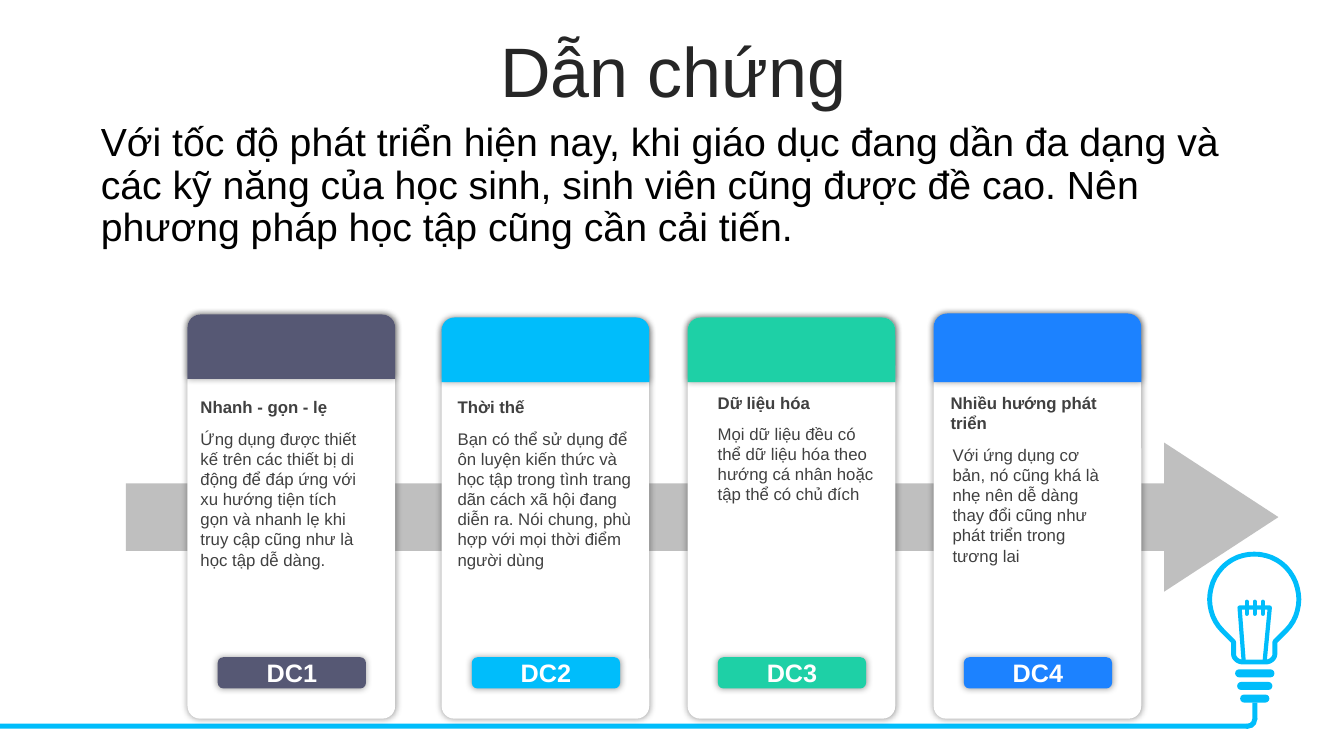
from lxml.etree import SubElement
from pptx import Presentation
from pptx.dml.color import RGBColor
from pptx.enum.shapes import MSO_CONNECTOR, MSO_SHAPE
from pptx.enum.text import MSO_ANCHOR, MSO_AUTO_SIZE, PP_ALIGN
from pptx.oxml.ns import qn
from pptx.util import Inches, Pt

WHITE = RGBColor(0xFF, 0xFF, 0xFF)
BLACK = RGBColor(0x00, 0x00, 0x00)
TITLE_GREY = RGBColor(0x26, 0x26, 0x26)
TEXT_GREY = RGBColor(0x40, 0x40, 0x40)
ARROW_GREY = RGBColor(0xBF, 0xBF, 0xBF)
SLATE = RGBColor(0x56, 0x58, 0x74)
SKY = RGBColor(0x00, 0xBD, 0xFB)
GREEN = RGBColor(0x1E, 0xD0, 0xA6)
BLUE = RGBColor(0x1C, 0x82, 0xFF)

BULB_X = 12.445  # axis of the bulb
CARD_WIDTH = 2.06
CARD_BOTTOM = 7.13


def curve(p0, p1, p2, p3, steps=12):
    """Points along a cubic curve, without its start."""
    points = []
    for step in range(1, steps + 1):
        t = step / steps
        u = 1 - t
        points.append(tuple(u**3 * a + 3 * u * u * t * b + 3 * u * t * t * c + t**3 * d
                            for a, b, c, d in zip(p0, p1, p2, p3)))
    return points


class SlideBuilder:
    font = "Arial"

    def __init__(self, page):
        self.page = page

    def shape(self, kind, left, top, width, height, fill, adjust=(), glow=False):
        shape = self.page.shapes.add_shape(
            kind, Inches(left), Inches(top), Inches(width), Inches(height))
        for index, value in enumerate(adjust):
            shape.adjustments[index] = value
        shape.fill.solid()
        shape.fill.fore_color.rgb = fill
        shape.line.fill.background()
        shape.shadow.inherit = False
        if glow:
            effects = shape._element.spPr.find(qn("a:effectLst"))
            shadow = SubElement(effects, qn("a:outerShdw"), blurRad=str(Pt(5)),
                                dist="0", dir="0", algn="ctr", rotWithShape="0")
            color = SubElement(shadow, qn("a:srgbClr"), val=str(BLACK))
            SubElement(color, qn("a:alpha"), val="40000")
        return shape

    def outline(self, points, width, fill=None, close=False):
        grid = [(round(x * 1000), round(y * 1000)) for x, y in points]
        builder = self.page.shapes.build_freeform(*grid[0], scale=Inches(0.001))
        builder.add_line_segments(grid[1:], close=close)
        shape = builder.convert_to_shape()
        if fill is None:
            shape.fill.background()
        else:
            shape.fill.solid()
            shape.fill.fore_color.rgb = fill
        shape.line.color.rgb = SKY
        shape.line.width = Pt(width)
        shape.shadow.inherit = False

    def stroke(self, x, top, bottom, width):
        line = self.page.shapes.add_connector(
            MSO_CONNECTOR.STRAIGHT, Inches(x), Inches(top), Inches(x), Inches(bottom))
        line.line.color.rgb = SKY
        line.line.width = Pt(width)
        line._element.spPr.find(qn("a:ln")).set("cap", "rnd")
        SubElement(line._element.spPr, qn("a:effectLst"))

    def fill_text(self, frame, text, size, color, bold=False, align=PP_ALIGN.LEFT,
                  spacing=None):
        frame.word_wrap = True
        frame.text = text
        para = frame.paragraphs[0]
        para.alignment = align
        if spacing:
            para.line_spacing = spacing
        font = para.runs[0].font
        font.name, font.size, font.bold = self.font, Pt(size), bold
        font.color.rgb = color

    def text(self, left, top, width, height, text, size, color, **style):
        box = self.page.shapes.add_textbox(
            Inches(left), Inches(top), Inches(width), Inches(height))
        self.fill_text(box.text_frame, text, size, color, **style)
        return box.text_frame

    def bulb(self):
        # Glass: the right half, then its mirror image
        right = [(BULB_X, 5.5)]
        right += curve(right[-1], (12.56, 5.5), (12.67, 5.54), (12.76, 5.63))
        right += curve(right[-1], (12.93, 5.81), (12.93, 6.09), (12.76, 6.26))
        right += [(12.65, 6.37), (12.65, 6.49)]
        right += curve(right[-1], (12.65, 6.53), (12.61, 6.57), (12.56, 6.57))
        left = [(2 * BULB_X - x, y) for x, y in reversed(right[1:])]
        self.outline(right + left, 3.5, WHITE, close=True)

        # Filament
        self.outline([(12.34, 6.55), (12.3, 6.03), (12.6, 6.03), (12.55, 6.55)], 3)
        for offset in (-0.08, 0, 0.08):
            self.stroke(BULB_X + offset, 5.97, 6.09, 3)

        # Screw base
        for row, width in enumerate((0.39, 0.35, 0.29)):
            self.shape(MSO_SHAPE.ROUNDED_RECTANGLE, BULB_X - width / 2,
                       6.64 + row * 0.125, width, 0.08, SKY, (0.5,))

        # Cable
        self.shape(MSO_SHAPE.RECTANGLE, 0, 7.18, 12.37, 0.05, SKY)
        self.shape(MSO_SHAPE.RECTANGLE, 12.42, 6.97, 0.05, 0.17, SKY)
        self.shape(MSO_SHAPE.BLOCK_ARC, 12.28, 7.04, 0.19, 0.19, SKY,
                   (213.394, 60.915, 0.271))

    def card(self, number, left, top, header, color, heading, body):
        header_top, header_height = header
        self.shape(MSO_SHAPE.ROUNDED_RECTANGLE, left, top, CARD_WIDTH,
                   CARD_BOTTOM - top, WHITE, (0.061,), glow=True)
        self.shape(MSO_SHAPE.ROUND_2_SAME_RECTANGLE, left, header_top, CARD_WIDTH,
                   header_height, color, (0.2, 0), glow=True)
        tag = self.shape(MSO_SHAPE.ROUNDED_RECTANGLE, left + 0.3, 6.52, 1.47, 0.31,
                         color, (0.178,), glow=True)
        tag.text_frame.vertical_anchor = MSO_ANCHOR.MIDDLE
        self.fill_text(tag.text_frame, f"DC{number}", 18, WHITE, bold=True,
                       align=PP_ALIGN.CENTER)
        for area, text, bold in ((*heading, True), (*body, False)):
            frame = self.text(*area, text, 12, TEXT_GREY, bold=bold)
            frame.auto_size = MSO_AUTO_SIZE.SHAPE_TO_FIT_TEXT


# Card: left, top, header (top, height), colour, heading and body (area, text)
CARDS = [
    (1.86, 3.12, (3.12, 0.64), SLATE,
     ((1.89, 3.89, 1.77, 0.3), "Nhanh - gọn - lẹ"),
     ((1.89, 4.2, 1.77, 1.51),
      "Ứng dụng được thiết kế trên các thiết bị di động để đáp ứng với xu hướng "
      "tiện tích gọn và nhanh lẹ khi truy cập cũng như là học tập dễ dàng.")),
    (4.38, 3.18, (3.15, 0.64), SKY,
     ((4.44, 3.89, 1.99, 0.3), "Thời thế"),
     ((4.44, 4.2, 1.99, 1.51),
      "Bạn có thể sử dụng để ôn luyện kiến thức và học tập trong tình trang dãn cách "
      "xã hội đang diễn ra. Nói chung, phù hợp với mọi thời điểm người dùng")),
    (6.82, 3.15, (3.15, 0.64), GREEN,
     ((7.02, 3.85, 1.77, 0.3), "Dữ liệu hóa"),
     ((7.02, 4.15, 1.77, 0.91),
      "Mọi dữ liệu đều có thể dữ liệu hóa theo hướng cá nhân hoặc tập thể có chủ đích")),
    (9.26, 3.12, (3.11, 0.68), BLUE,
     ((9.33, 3.85, 1.77, 0.5), "Nhiều hướng phát triển"),
     ((9.35, 4.36, 1.77, 1.31),
      "Với ứng dụng cơ bản, nó cũng khá là nhẹ nên dễ dàng thay đổi cũng như "
      "phát triển trong tương lai")),
]


def main():
    deck = Presentation()
    deck.slide_width, deck.slide_height = Inches(13.33), Inches(7.5)
    slide = SlideBuilder(deck.slides.add_slide(deck.slide_layouts[6]))

    # Bulb and arrow behind the cards
    slide.bulb()
    slide.shape(MSO_SHAPE.RIGHT_ARROW, 1.25, 4.39, 11.43, 1.48, ARROW_GREY, (0.453, 0.766))

    # Title and introduction
    title = slide.text(0.35, 0.37, 12.66, 0.79, "Dẫn chứng", 50, TITLE_GREY,
                       align=PP_ALIGN.CENTER, spacing=0.8)
    title.vertical_anchor = MSO_ANCHOR.MIDDLE
    intro = slide.text(
        0.89, 1.22, 11.58, 1.89,
        "Với tốc độ phát triển hiện nay, khi giáo dục đang dần đa dạng và các kỹ năng "
        "của học sinh, sinh viên cũng được đề cao. Nên phương pháp học tập cũng cần cải tiến.",
        28, BLACK, spacing=0.9)
    intro.margin_left = Inches(0.11)
    intro.margin_top = intro.margin_right = intro.margin_bottom = 0

    # Evidence cards
    for number, card in enumerate(CARDS, start=1):
        slide.card(number, *card)

    deck.save("out.pptx")


if __name__ == "__main__":
    main()
